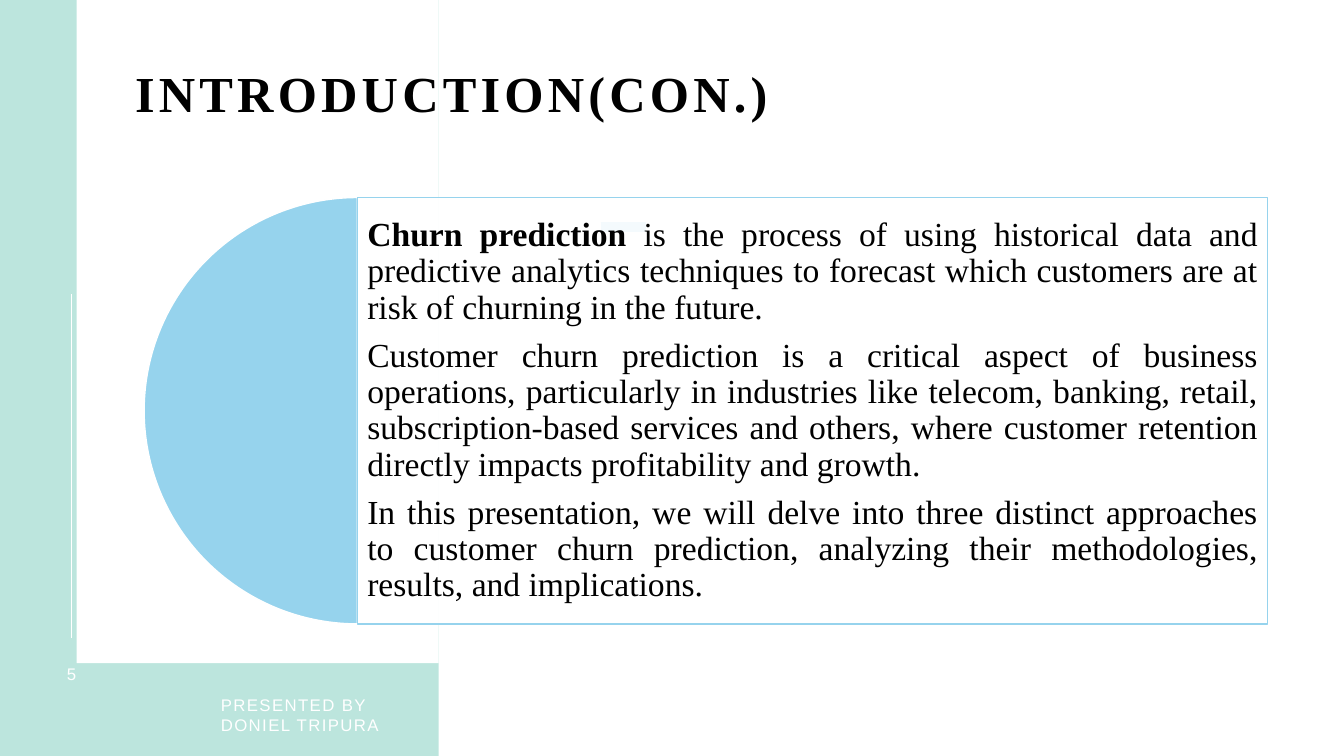
from lxml.etree import SubElement as Sub
from pptx import Presentation
from pptx.dml.color import RGBColor
from pptx.enum.shapes import MSO_CONNECTOR as Link, MSO_SHAPE as Kind
from pptx.enum.text import MSO_ANCHOR as Anchor, PP_ALIGN as Align
from pptx.oxml.ns import qn
from pptx.util import Inches, Pt

# Content
TITLE = "INTRODUCTION(CON.)"
NUMBER = "5"
FOOTER = "PRESENTED BY DONIEL TRIPURA"
BODY = [
    [("Churn prediction ", True),
     ("is the process of using historical data and predictive analytics "
      "techniques to forecast which customers are at risk of churning in "
      "the future.", False)],
    [("Customer churn prediction is a critical aspect of business operations, "
      "particularly in industries like telecom, banking, retail, "
      "subscription-based services and others, where customer retention "
      "directly impacts profitability and growth.", False)],
    [("In this presentation, we will delve into three distinct approaches to "
      "customer churn prediction, analyzing their methodologies, results, "
      "and implications.", False)],
]

# Theme
THEME = {
    "mint": RGBColor.from_string("BCE5DD"),
    "sky": RGBColor.from_string("96D3ED"),
    "white": RGBColor.from_string("FFFFFF"),
    "black": RGBColor.from_string("000000"),
    "serif": "Times New Roman", "sans": "Arial",
    "head": 36, "body": 24, "small": 12,
}

# Layout
WIDE, HIGH = 13.33, 7.5
BAND, FOOT = 0.76, 6.58          # left band edge, footer top
STEP = 4.35                      # right end of the footer band
TOP, DIAM = 1.96, 4.23           # pie and panel share these
PIE = 1.43
PANEL = (PIE + DIAM / 2, TOP, 9.03, DIAM)

deck = Presentation()
deck.slide_width, deck.slide_height = Inches(WIDE), Inches(HIGH)
slide = deck.slides.add_slide(deck.slide_layouts[6])
slide.background.fill.solid()
slide.background.fill.fore_color.rgb = THEME["mint"]


def add_form(kind, box, fill, line=None):
    form = slide.shapes.add_shape(kind, *map(Inches, box))
    form.shadow.inherit = False
    form.fill.solid()
    form.fill.fore_color.rgb = THEME[fill]
    if line:
        form.line.color.rgb = THEME[line]
        form.line.width = Pt(1)
    else:
        form.line.fill.background()
    return form


def add_rule(start, end, tint, width):
    rule = slide.shapes.add_connector(Link.STRAIGHT, *map(Inches, start + end))
    rule.line.color.rgb = THEME[tint]
    rule.line.width = Pt(width)
    Sub(rule._element.spPr, qn("a:effectLst"))


def add_text(box, paras, face, size, tint, space=0, inset=0,
             anchor=Anchor.MIDDLE, **form):
    frame = slide.shapes.add_textbox(*map(Inches, box)).text_frame
    setup = {"word_wrap": True, "vertical_anchor": anchor}
    for side in ("left", "right", "top", "bottom"):
        setup["margin_" + side] = Inches(inset)
    for name, value in setup.items():
        setattr(frame, name, value)
    for i, parts in enumerate(paras):
        para = frame.add_paragraph() if i else frame.paragraphs[0]
        for name, value in form.items():
            setattr(para, name, value)
        for text, bold in parts:
            run = para.add_run()
            run.text = text
            style = {"name": THEME[face], "size": Pt(THEME[size]), "bold": bold}
            for name, value in style.items():
                setattr(run.font, name, value)
            run.font.color.rgb = THEME[tint]
            if space:
                run._r.get_or_add_rPr().set("spc", str(space * 100))


# White page beside the mint band and above the footer
add_form(Kind.RECTANGLE, (STEP, 0, WIDE - STEP, HIGH), "white")
add_form(Kind.RECTANGLE, (BAND, 0, STEP - BAND, FOOT), "white")
add_rule((0.71, 2.92), (0.71, 6.33), "white", 1)
add_rule((5.96, 2.25), (6.41, 2.25), "sky", 7)

# Number, footer and title
add_text((0.46, FOOT, 0.5, 0.2), [[(NUMBER, False)]], "sans", "small",
         "white", space=2, alignment=Align.CENTER)
add_text((2.19, 6.99, 1.95, 0.21), [[(FOOTER, False)]], "sans", "small",
         "white", space=1)
add_text((1.34, 0.68, 6.5, 0.6), [[(TITLE, True)]], "serif", "head",
         "black", space=3, anchor=Anchor.TOP, line_spacing=0.9)

# Half disc and text panel
disc = add_form(Kind.PIE, (PIE, TOP, DIAM, DIAM), "sky", "white")
disc.adjustments[0], disc.adjustments[1] = 54, 162
panel = add_form(Kind.RECTANGLE, PANEL, "white", "sky")
color = panel._element.spPr.find(qn("a:solidFill"))[0]
Sub(color, qn("a:alpha")).set("val", "90000")
add_text(PANEL, BODY, "serif", "body", "black", inset=0.1,
         alignment=Align.JUSTIFY, line_spacing=0.9,
         space_after=Pt(0.35 * THEME["body"]))

deck.save("out.pptx")
